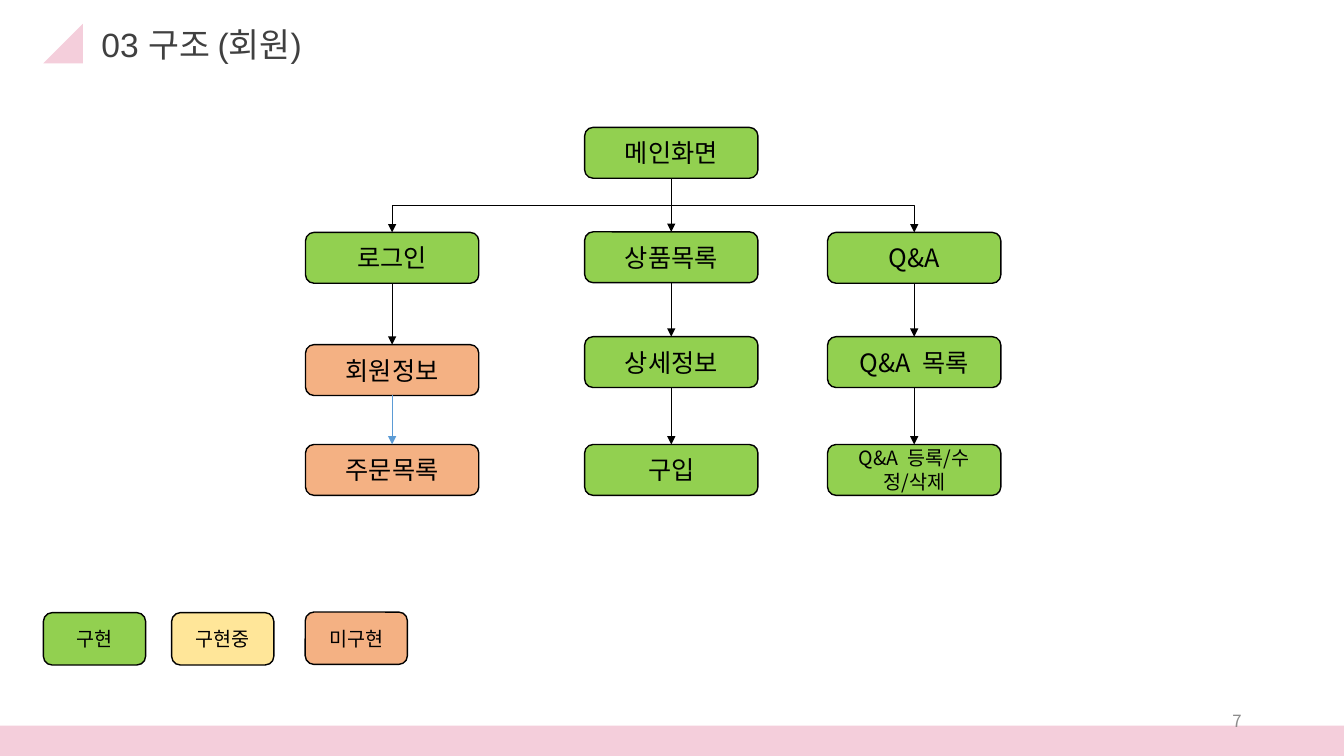
from dataclasses import dataclass

from lxml import etree
from pptx import Presentation
from pptx.dml.color import RGBColor
from pptx.enum.shapes import MSO_CONNECTOR, MSO_SHAPE
from pptx.enum.text import MSO_ANCHOR, PP_ALIGN
from pptx.oxml.ns import qn
from pptx.util import Pt

RECT, ROUND = MSO_SHAPE.RECTANGLE, MSO_SHAPE.ROUNDED_RECTANGLE
WEDGE = MSO_SHAPE.RIGHT_TRIANGLE
STRAIGHT, ELBOW = MSO_CONNECTOR.STRAIGHT, MSO_CONNECTOR.ELBOW
LEFT, CENTER, RIGHT = PP_ALIGN.LEFT, PP_ALIGN.CENTER, PP_ALIGN.RIGHT
TOP, MIDDLE = MSO_ANCHOR.TOP, MSO_ANCHOR.MIDDLE
BASE, CROWN = 2, 0  # connection sites of a box


@dataclass(frozen=True)
class Theme:
    pink: str = "F4CEDB"
    done: str = "92D050"
    doing: str = "FFE699"
    todo: str = "F4B183"
    ink: str = "000000"
    title: str = "404040"
    muted: str = "8C8C8C"
    blue: str = "5B9BD5"
    head: str = "Arial"
    body: str = "Noto Sans CJK KR"
    big: int = 24
    mid: int = 18
    small: int = 14
    tiny: int = 12


class Deck:
    def __init__(self, slide, theme):
        self.shapes = slide.shapes
        self.theme = theme

    def letter(self, shape, text, size, color, font, align, anchor):
        frame = shape.text_frame
        frame.text = text
        frame.word_wrap = True
        frame.vertical_anchor = anchor
        para = frame.paragraphs[0]
        para.alignment = align
        for run in para.runs:
            run.font.size = Pt(size)
            run.font.name = font
            run.font.color.rgb = RGBColor.from_string(color)
            east = etree.SubElement(run.font._element, qn("a:ea"))
            east.set("typeface", self.theme.body)

    def label(self, area, text, size, color, font, align=LEFT, anchor=TOP):
        shape = self.shapes.add_textbox(*map(Pt, area))
        self.letter(shape, text, size, color, font, align, anchor)

    def solid(self, kind, area, fill):
        shape = self.shapes.add_shape(kind, *map(Pt, area))
        shape.shadow.inherit = False
        shape.fill.solid()
        shape.fill.fore_color.rgb = RGBColor.from_string(fill)
        shape.line.fill.background()
        return shape

    def node(self, area, text, fill, size):
        shape = self.solid(ROUND, area, fill)
        shape.line.color.rgb = RGBColor.from_string(self.theme.ink)
        shape.line.width = Pt(1)
        self.letter(shape, text, size, self.theme.ink, self.theme.body,
                    CENTER, MIDDLE)
        return shape

    def arrow(self, start, end, color, kind=STRAIGHT):
        line = self.shapes.add_connector(kind, 0, 0, 0, 0)
        line.begin_connect(start, BASE)
        line.end_connect(end, CROWN)
        if kind == ELBOW:
            self.turn(line)
        line.line.color.rgb = RGBColor.from_string(color)
        line.line.width = Pt(0.5)
        props = line._element.spPr
        tip = etree.SubElement(props.find(qn("a:ln")), qn("a:tailEnd"))
        tip.set("type", "triangle")
        etree.SubElement(props, qn("a:effectLst"))

    def turn(self, line):
        """Rotate an elbow so that it leaves and arrives vertically."""
        right = line.end_x > line.begin_x
        wide, high = line.width, line.height
        line.left += (wide - high) // 2
        line.top += (high - wide) // 2
        line.width, line.height = high, wide
        frame = line._element.spPr.xfrm
        frame.set("rot", str((270 if right else 90) * 60000))
        frame.set("flipH", "1" if right else "0")


def draw_tree(deck):
    theme = deck.theme
    wide, high = 123.8, 36.3
    rows = 165.6, 240.5, 317.5
    login, goods, board = 218.2, 417.6, 591.1
    # Each branch: left edge, then (text, fill, size, top) for every box.
    branches = [
        (login, [("로그인", theme.done, theme.mid, 166),
                 ("회원정보", theme.todo, theme.mid, 246.2),
                 ("주문목록", theme.todo, theme.mid, rows[2])]),
        (goods, [("상품목록", theme.done, theme.mid, rows[0]),
                 ("상세정보", theme.done, theme.mid, rows[1]),
                 ("구입", theme.done, theme.mid, rows[2])]),
        (board, [("Q&A", theme.done, theme.mid, 166),
                 ("Q&A  목록", theme.done, theme.mid, rows[1]),
                 ("Q&A  등록/수정/삭제", theme.done, theme.small, rows[2])]),
    ]
    root = deck.node((goods, 91, wide, high), "메인화면", theme.done, theme.mid)
    for left, items in branches:
        above = root
        for text, fill, size, top in items:
            box = deck.node((left, top, wide, high), text, fill, size)
            bent = above is root and left != goods
            last = left == login and top == rows[2]
            deck.arrow(above, box, theme.blue if last else theme.ink,
                       ELBOW if bent else STRAIGHT)
            above = box


def draw_legend(deck):
    theme = deck.theme
    for left, top, text, fill in [(31, 437.6, "구현", theme.done),
                                  (122.6, 437.6, "구현중", theme.doing),
                                  (218, 437.2, "미구현", theme.todo)]:
        deck.node((left, top, 73, 37.4), text, fill, theme.small)


def main():
    show = Presentation()
    show.slide_width, show.slide_height = Pt(960), Pt(540)
    theme = Theme()
    deck = Deck(show.slides.add_slide(show.slide_layouts[6]), theme)
    deck.solid(RECT, (0, 518.4, 960, 21.6), theme.pink)
    deck.solid(WEDGE, (31, 17, 28.2, 28.2), theme.pink).rotation = 270
    deck.label((65.4, 13.7, 260.6, 36), "03 구조 (회원)",
               theme.big, theme.title, theme.head)
    draw_tree(deck)
    draw_legend(deck)
    deck.label((678, 500.5, 216, 28.8), "7", theme.tiny, theme.muted,
               theme.body, RIGHT, MIDDLE)
    show.save("out.pptx")


if __name__ == "__main__":
    main()
